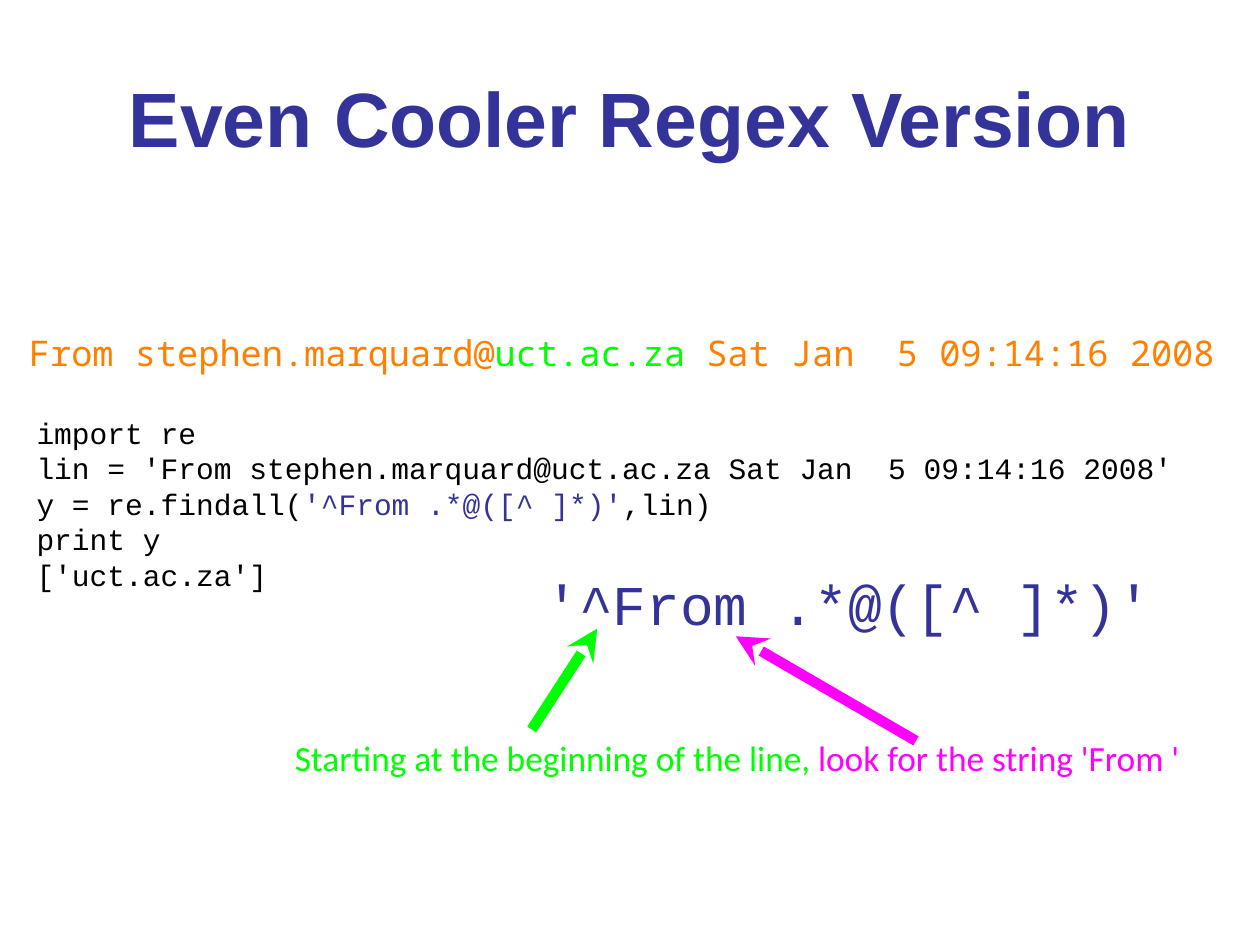
from lxml import etree
from pptx import Presentation
from pptx.dml.color import RGBColor
from pptx.enum.shapes import MSO_CONNECTOR
from pptx.enum.text import MSO_ANCHOR, PP_ALIGN
from pptx.oxml.ns import qn
from pptx.util import Inches, Pt

NAVY = RGBColor(0x33, 0x33, 0x99)
ORANGE = RGBColor(0xFF, 0x7F, 0x00)
GREEN = RGBColor(0x00, 0xFF, 0x00)
MAGENTA = RGBColor(0xFF, 0x00, 0xFF)
BLACK = RGBColor(0x00, 0x00, 0x00)

CODE_FONT = "Courier New"
PATTERN = "'^From .*@([^ ]*)'"


def add_text(slide, box, lines, font, size, bold=False, align=PP_ALIGN.LEFT, wrap=True):
    """Each line is a list of (text, colour) runs."""
    tf = slide.shapes.add_textbox(*map(Inches, box)).text_frame
    tf.word_wrap = wrap
    tf.vertical_anchor = MSO_ANCHOR.MIDDLE
    tf.margin_left = tf.margin_right = tf.margin_top = tf.margin_bottom = 0
    for i, line in enumerate(lines):
        p = tf.add_paragraph() if i else tf.paragraphs[0]
        p.alignment = align
        for text, color in line:
            r = p.add_run()
            r.text = text
            r.font.name = font
            r.font.size = Pt(size)
            r.font.bold = bold
            r.font.color.rgb = color


def add_arrow(slide, tip, tail, color):
    line = slide.shapes.add_connector(
        MSO_CONNECTOR.STRAIGHT, *map(Inches, (*tip, *tail)))
    line.line.color.rgb = color
    line.line.width = Pt(6)
    etree.SubElement(line.line._get_or_add_ln(), qn("a:headEnd"), type="stealth")
    etree.SubElement(line._element.spPr, qn("a:effectLst"))


def add_title(slide, box):
    add_text(slide, box, [[("Even Cooler Regex Version", NAVY)]],
             "Arial", 44, bold=True, align=PP_ALIGN.CENTER)


def add_mail_line(slide, box):
    runs = [("From stephen.marquard@", ORANGE), ("uct.ac.za", GREEN),
            (" Sat Jan  5 09:14:16 2008", ORANGE)]
    add_text(slide, box, [runs], "Noto Sans Mono", 20.2, wrap=False)


def add_code(slide, box):
    lines = [
        [("import re", BLACK)],
        [("lin = 'From stephen.marquard@uct.ac.za Sat Jan  5 09:14:16 2008'", BLACK)],
        [("y = re.findall(", BLACK), (PATTERN, NAVY), (",lin)", BLACK)],
        [("print y", BLACK)],
        [("['uct.ac.za']", BLACK)],
    ]
    add_text(slide, box, lines, CODE_FONT, 16.9)


def add_pattern_notes(slide, box):
    """Large pattern at the upper right, its explanation below, arrows between."""
    left, top, width, height = box
    add_text(slide, (left + 1.99, top, 4.86, 0.54), [[(PATTERN, NAVY)]],
             CODE_FONT, 32.1, wrap=False)
    note = [("Starting at the beginning of the line, ", GREEN),
            ("look for the string 'From '", MAGENTA)]
    add_text(slide, (left, top + height - 0.38, width, 0.38), [note], "Calibri", 20.2)
    add_arrow(slide, (left + 2.4, top + 0.47), (left + 1.88, top + 1.27), GREEN)
    add_arrow(slide, (left + 3.5, top + 0.53), (left + 4.93, top + 1.36), MAGENTA)


def main():
    prs = Presentation()
    prs.slide_width, prs.slide_height = Inches(10), Inches(7.5)
    s = prs.slides.add_slide(prs.slide_layouts[6])
    add_title(s, (0.5, 0.3, 9, 1.25))
    add_mail_line(s, (0.23, 2.63, 9.52, 0.34))
    add_code(s, (0.29, 3.3, 9.7, 1.39))
    add_pattern_notes(s, (2.34, 4.52, 7.26, 1.68))
    prs.save("out.pptx")


if __name__ == "__main__":
    main()
